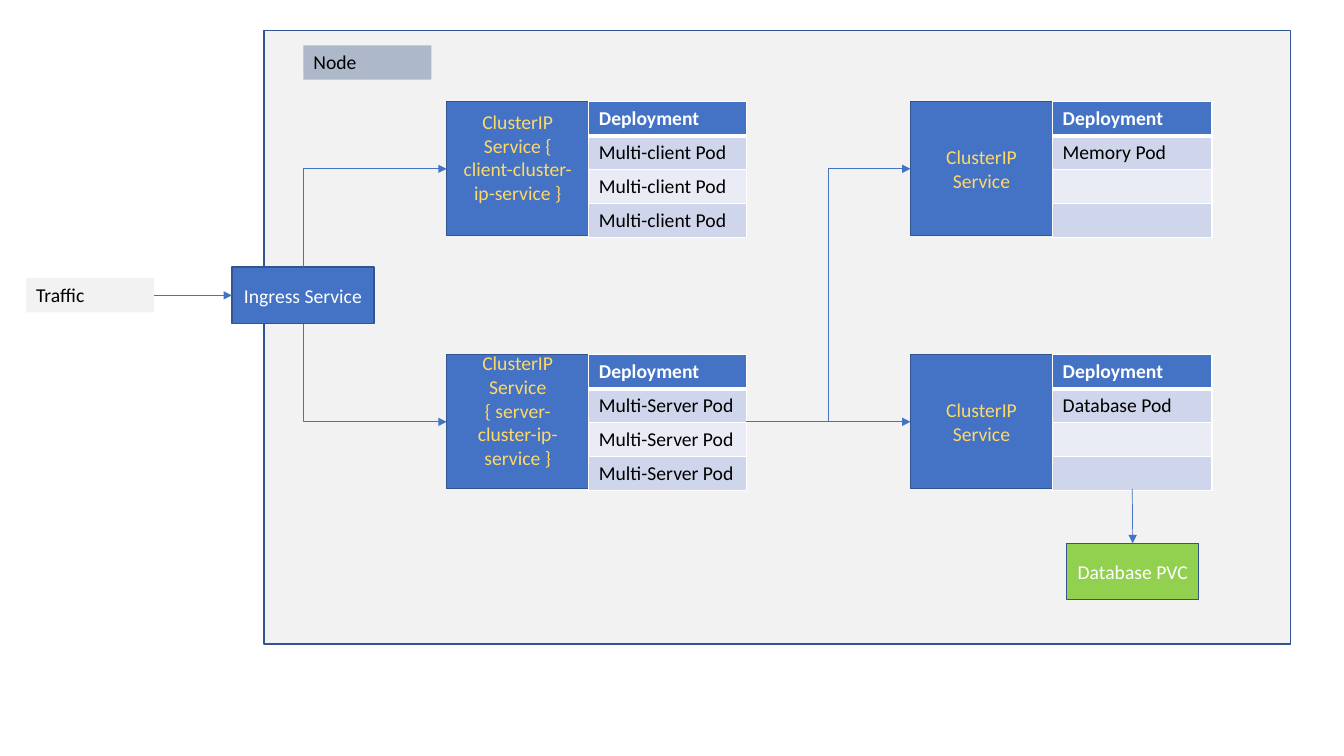
from typing import NamedTuple

from lxml.etree import SubElement
from pptx import Presentation
from pptx.dml.color import RGBColor
from pptx.enum.shapes import MSO_CONNECTOR, MSO_SHAPE
from pptx.enum.text import MSO_ANCHOR, PP_ALIGN
from pptx.oxml.ns import qn
from pptx.util import Inches, Pt

BLUE = RGBColor(0x44, 0x72, 0xC4)
OUTLINE = RGBColor(0x32, 0x54, 0x91)
GOLD = RGBColor(0xFF, 0xD9, 0x66)
GREEN = RGBColor(0x92, 0xD0, 0x50)
SLATE = RGBColor(0xAD, 0xB9, 0xCA)
PALE = RGBColor(0xF2, 0xF2, 0xF2)
BAND_DARK = RGBColor(0xCF, 0xD5, 0xEA)
BAND_LIGHT = RGBColor(0xE9, 0xEB, 0xF5)
WHITE = RGBColor(0xFF, 0xFF, 0xFF)
BLACK = RGBColor(0, 0, 0)

FONT = "Calibri"
TEXT_SIZE = 14
UNIT = Inches(0.1)
POD_ROWS = 3
SERVICE_WIDTH = 14.1
GROUP_HEIGHT = 13.3
UPPER_ROW, LOWER_ROW = 7.1, 32.2
LEFT_COLUMN, RIGHT_COLUMN = 18.1, 64.1


class Box(NamedTuple):
    left: float
    top: float
    width: float
    height: float

    def lengths(self):
        return [grid(value) for value in self]

    def inner(self, left, top, width, height):
        return Box(self.left + left, self.top + top, width, height)


def grid(value):
    return round(value * UNIT)


def write_text(frame, text, color=WHITE, bold=False, align=PP_ALIGN.CENTER):
    frame.word_wrap = True
    for index, line in enumerate(text.split("\n")):
        para = frame.paragraphs[0] if index == 0 else frame.add_paragraph()
        para.alignment = align
        if not line:
            SubElement(para._p, qn("a:endParaRPr"), sz=str(TEXT_SIZE * 100))
            continue
        span = para.add_run()
        span.text = line
        span.font.name = FONT
        span.font.size = Pt(TEXT_SIZE)
        span.font.bold = bold
        span.font.color.rgb = color


def add_block(page, box, fill, text="", color=WHITE, lift=0):
    block = page.shapes.add_shape(MSO_SHAPE.RECTANGLE, *box.lengths())
    block.shadow.inherit = False
    block.fill.solid()
    block.fill.fore_color.rgb = fill
    block.line.color.rgb = OUTLINE
    block.line.width = Pt(1)
    if text:
        frame = block.text_frame
        frame.vertical_anchor = MSO_ANCHOR.MIDDLE
        frame.margin_bottom += grid(lift)
        write_text(frame, text, color=color)
    return block


def add_label(page, box, text, fill):
    label = page.shapes.add_textbox(*box.lengths())
    label.fill.solid()
    label.fill.fore_color.rgb = fill
    write_text(label.text_frame, text, color=BLACK, align=PP_ALIGN.LEFT)
    return label


def underline_header(cell):
    properties = cell._tc.get_or_add_tcPr()
    border = SubElement(properties, qn("a:lnB"), w=str(Pt(3)))
    SubElement(SubElement(border, qn("a:solidFill")), qn("a:srgbClr"),
               val=str(WHITE))
    properties.insert(0, border)


def add_deployment(page, box, pods):
    holder = page.shapes.add_table(POD_ROWS + 1, 1, *box.lengths())
    entries = ["Deployment", *pods] + [""] * (POD_ROWS - len(pods))
    for index, entry in enumerate(entries):
        cell = holder.table.cell(index, 0)
        header = index == 0
        cell.fill.solid()
        cell.fill.fore_color.rgb = (
            BLUE if header else BAND_DARK if index % 2 else BAND_LIGHT
        )
        write_text(cell.text_frame, entry, color=WHITE if header else BLACK,
                   bold=header, align=PP_ALIGN.LEFT)
    underline_header(holder.table.cell(0, 0))
    return holder


def add_service_group(page, box, text, pods, lift=0):
    service_box = box._replace(width=SERVICE_WIDTH)
    table_box = box.inner(SERVICE_WIDTH, 0, box.width - SERVICE_WIDTH, box.height)
    service = add_block(page, service_box, BLUE, text, color=GOLD, lift=lift)
    return service, add_deployment(page, table_box, pods)


def side_point(shape, side):
    middle_x = shape.left + shape.width // 2
    middle_y = shape.top + shape.height // 2
    return [(middle_x, shape.top), (shape.left, middle_y),
            (middle_x, shape.top + shape.height),
            (shape.left + shape.width, middle_y)][side]


def add_arrow(page, source, source_side, target, target_side,
              kind=MSO_CONNECTOR.STRAIGHT):
    start = side_point(source, source_side)
    finish = side_point(target, target_side)
    arrow = page.shapes.add_connector(kind, *start, *finish)
    if not source.has_table:
        arrow.begin_connect(source, source_side)
    arrow.end_connect(target, target_side)
    arrow.line.color.rgb = BLUE
    arrow.line.width = Pt(0.5)
    SubElement(arrow.line._get_or_add_ln(), qn("a:tailEnd"), type="triangle")
    SubElement(arrow._element.spPr, qn("a:effectLst"))
    return arrow


def add_corner_arrow(page, source, source_side, target):
    arrow = add_arrow(page, source, source_side, target, 1, MSO_CONNECTOR.ELBOW)
    start_x, start_y = side_point(source, source_side)
    finish_x, finish_y = side_point(target, 1)
    run, rise = finish_x - start_x, abs(finish_y - start_y)
    arrow.left = (start_x + finish_x - rise) // 2
    arrow.top = (start_y + finish_y - run) // 2
    arrow.width, arrow.height = rise, run
    upward = finish_y < start_y
    properties = arrow._element.spPr
    frame = properties.find(qn("a:xfrm"))
    frame.set("rot", str((90 if upward else 270) * 60000))
    frame.set("flipH", "1")
    frame.set("flipV", "1" if upward else "0")
    properties.find(qn("a:prstGeom")).set("prst", "bentConnector2")


def add_cluster(page, box):
    add_block(page, box, PALE)
    ingress = add_block(page, box.inner(-3.2, 23.5, 14.1, 5.6),
                        BLUE, "Ingress Service")
    client, _ = add_service_group(
        page, box.inner(LEFT_COLUMN, UPPER_ROW, 29.7, GROUP_HEIGHT),
        "ClusterIP\nService {\nclient-cluster-ip-service }",
        ["Multi-client Pod"] * POD_ROWS, lift=2.3)
    server, server_pods = add_service_group(
        page, box.inner(LEFT_COLUMN, LOWER_ROW, 29.7, GROUP_HEIGHT),
        "ClusterIP\nService { server-cluster-ip-service }",
        ["Multi-Server Pod"] * POD_ROWS, lift=2.3)
    stores = [
        add_service_group(page, box.inner(RIGHT_COLUMN, top, 29.9, GROUP_HEIGHT),
                          "ClusterIP\nService", [pod])
        for top, pod in ((UPPER_ROW, "Memory Pod"), (LOWER_ROW, "Database Pod"))
    ]
    (cache, _), (database, database_pods) = stores
    volume = add_block(page, box.inner(79.6, 50.9, 13.1, 5.6),
                       GREEN, "Database PVC")
    add_arrow(page, server_pods, 3, cache, 1, MSO_CONNECTOR.ELBOW)
    add_arrow(page, server_pods, 3, database, 1)
    add_arrow(page, database_pods, 2, volume, 0)
    add_corner_arrow(page, ingress, 0, client)
    add_corner_arrow(page, ingress, 2, server)
    add_label(page, box.inner(3.9, 1.5, 12.7, 3.4), "Node", SLATE)
    return ingress


def main():
    deck = Presentation()
    deck.slide_width = Inches(13.33)
    deck.slide_height = Inches(7.5)
    page = deck.slides.add_slide(deck.slide_layouts[6])
    ingress = add_cluster(page, Box(26.2, 3, 101.8, 60.9))
    traffic = add_label(page, Box(2.6, 27.6, 12.7, 3.4), "Traffic", PALE)
    add_arrow(page, traffic, 3, ingress, 1)
    deck.save("out.pptx")


if __name__ == "__main__":
    main()
